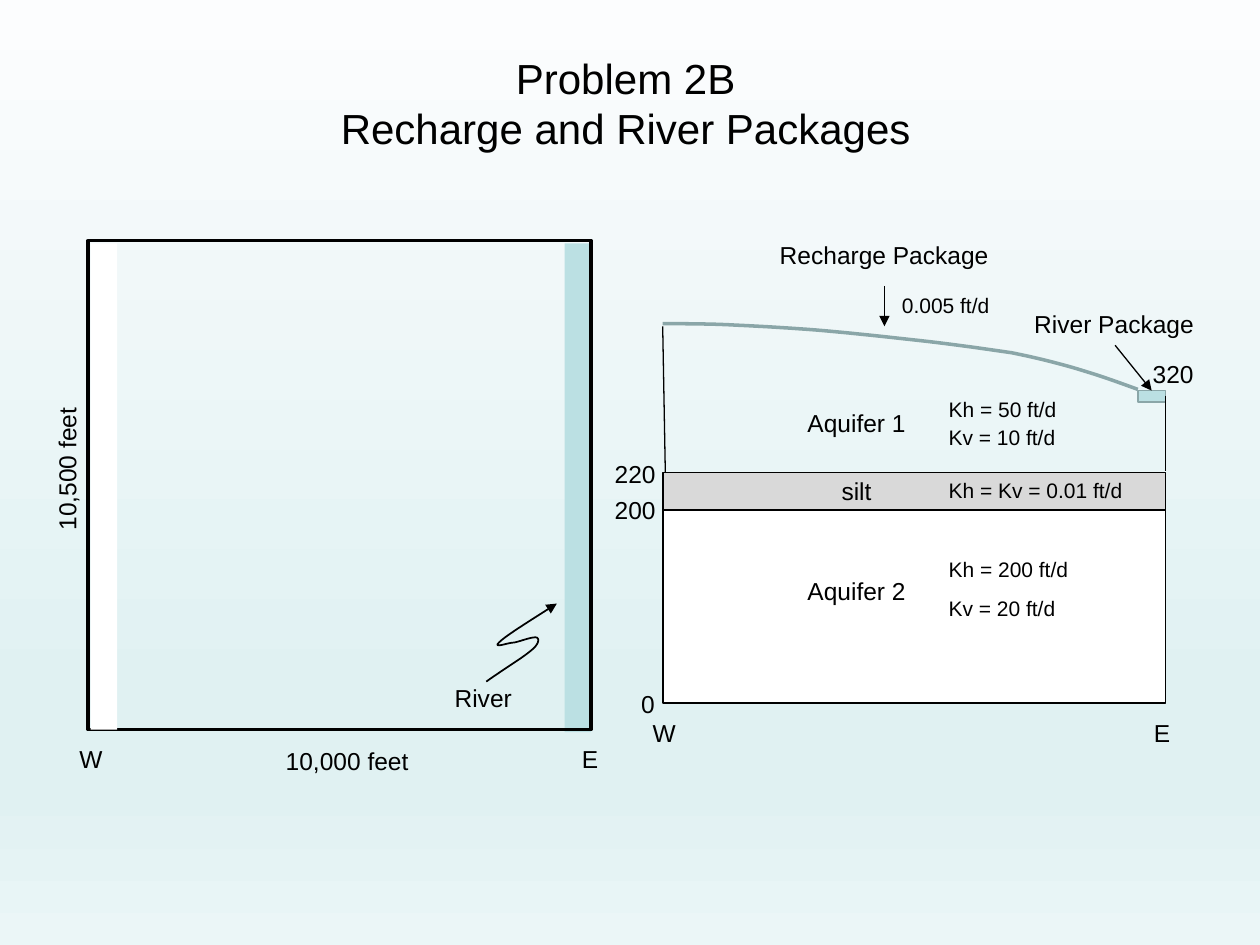
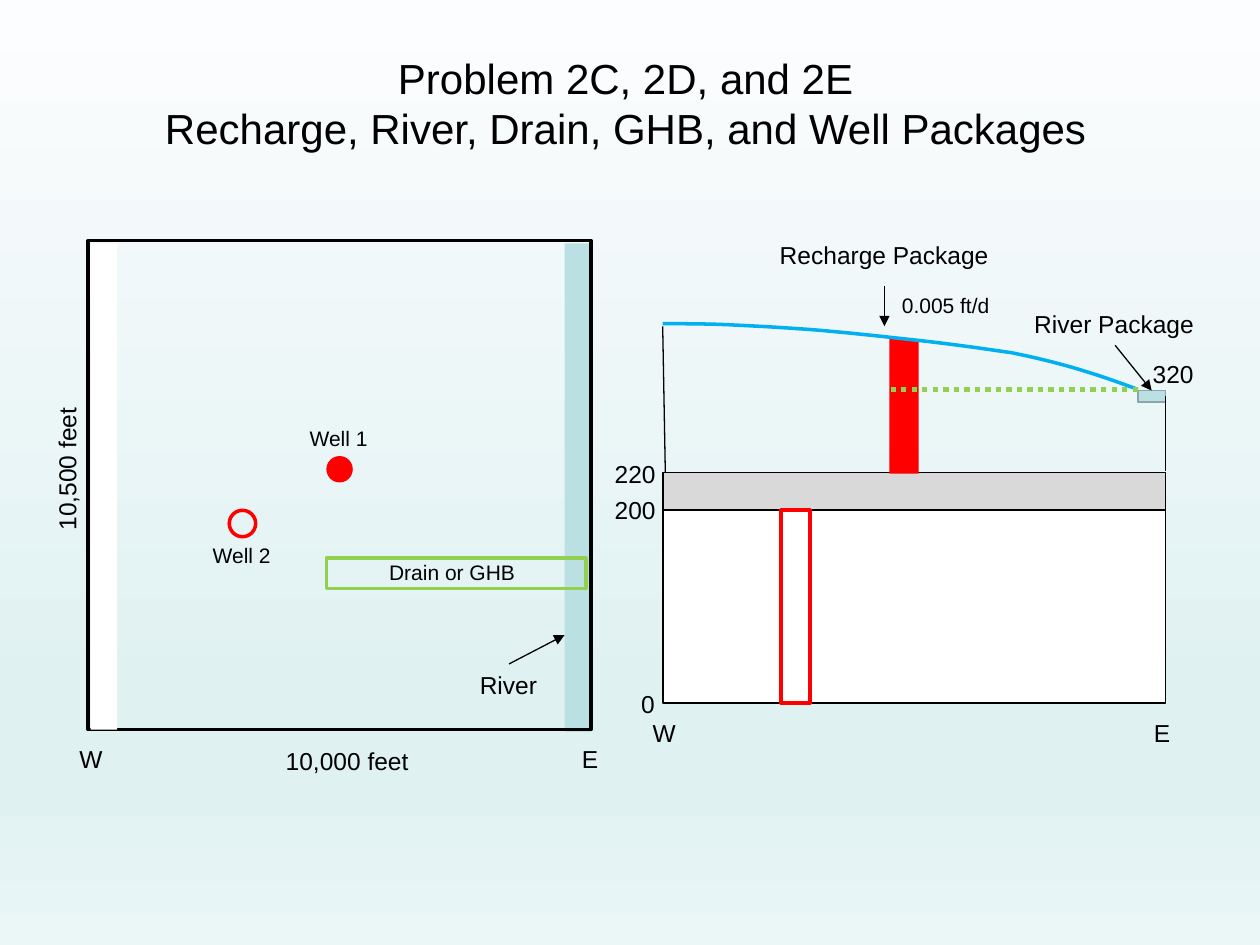
from copy import deepcopy

from pptx import Presentation
from pptx.dml.color import RGBColor
from pptx.enum.dml import MSO_LINE
from pptx.enum.shapes import MSO_CONNECTOR, MSO_SHAPE
from pptx.enum.text import MSO_ANCHOR, MSO_AUTO_SIZE, PP_ALIGN
from pptx.oxml.ns import qn
from pptx.oxml.xmlchemy import OxmlElement
from pptx.util import Pt

BLACK = RGBColor(0x00, 0x00, 0x00)
WHITE = RGBColor(0xFF, 0xFF, 0xFF)
GRAY = RGBColor(0xD9, 0xD9, 0xD9)
WATER = RGBColor(0xBB, 0xE0, 0xE3)
TEAL = RGBColor(0x8A, 0xA6, 0xA8)
BLUE = RGBColor(0x00, 0xB0, 0xF0)
RED = RGBColor(0xFF, 0x00, 0x00)
GREEN = RGBColor(0x92, 0xD0, 0x50)
SKY_TOP = RGBColor(0xFC, 0xFD, 0xFE)
SKY_MID = RGBColor(0xE0, 0xF1, 0xF2)
SKY_LOW = RGBColor(0xEB, 0xF6, 0xF7)
SKY = [(0, SKY_TOP), (0.74, SKY_MID), (0.83, SKY_MID), (1, SKY_LOW)]

MAP_X, MAP_Y, MAP_H = 50.4, 137.5, 279.4
SIDE = 287.3
STRIP = 15.1
SEC_X = 378.7
SILT_Y, AQUIFER_Y, BASE_Y = 270, 291.6, 401.8

WATER_TABLE = [
    (378.7, 185), (392.4, 185), (406.1, 185), (420.5, 185.8),
    (435.6, 186.5), (447.8, 187.2), (466.6, 188.6),
    (484.6, 190.1), (511.2, 193), (529.9, 195.1),
    (548.6, 197.3), (563, 199.4), (578.2, 201.6),
    (592.6, 204.5), (607, 208.1), (618.5, 211.7),
    (630.7, 215.3), (640.1, 218.9), (650.2, 222.5)]
RIVER_POINTER = [
    (277.9, 389.5), (288, 382.3), (298.8, 375.8), (303.8, 371.5),
    (308.2, 367.9), (308.2, 365), (306.7, 364.3),
    (304.6, 363.6), (297.4, 366.5), (293.8, 367.2),
    (290.2, 367.2), (281.5, 370.8), (285.1, 367.2),
    (289.4, 362.9), (303.8, 354.2), (318.2, 344.9)]


def bezier_points(knots, steps=10):
    points = [knots[0]]
    for i in range(0, len(knots) - 1, 3):
        for k in range(1, steps + 1):
            t = k / steps
            weights = ((1 - t) ** 3, 3 * t * (1 - t) ** 2,
                       3 * t * t * (1 - t), t ** 3)
            points.append(tuple(
                sum(w * knot[axis] for w, knot in zip(weights, knots[i:i + 4]))
                for axis in (0, 1)))
    return points


class Deck:
    font = "Arial"

    def __init__(self):
        self.prs = Presentation()
        self.prs.slide_width, self.prs.slide_height = Pt(720), Pt(540)
        self.paint_background()

    def paint_background(self):
        master = self.prs.slide_master
        fill = master.background.fill
        fill.gradient()
        fill.gradient_angle = 270
        stops = master.element.cSld.find(".//" + qn("a:gsLst"))
        while len(stops) < len(SKY):
            stops.append(deepcopy(stops[0]))
        for stop, (position, color) in zip(fill.gradient_stops, SKY):
            stop.position = position
            stop.color.rgb = color

    def new_slide(self, title):
        self.s = self.prs.slides.add_slide(self.prs.slide_layouts[6])
        tf = self.text(title, 34.5, 21.6, 646, 24, 74.2).text_frame
        tf.auto_size = MSO_AUTO_SIZE.NONE
        tf.word_wrap = True
        tf.vertical_anchor = MSO_ANCHOR.MIDDLE
        tf.paragraphs[0].alignment = PP_ALIGN.CENTER

    def text(self, text, x, y, w, size=14, h=None):
        h = h or size * 1.2 + 7.4
        sp = self.s.shapes.add_textbox(Pt(x), Pt(y), Pt(w), Pt(h))
        tf = sp.text_frame
        tf.text = text
        tf.word_wrap = False
        tf.auto_size = MSO_AUTO_SIZE.SHAPE_TO_FIT_TEXT
        for r in tf.paragraphs[0].runs:
            r.font.name = self.font
            r.font.size = Pt(size)
            r.font.color.rgb = BLACK
        return sp

    def texts(self, rows, size=14):
        for row in rows:
            self.text(*row, size)

    def style(self, sp, fill, line, width):
        sp.shadow.inherit = False
        if fill is None:
            sp.fill.background()
        else:
            sp.fill.solid()
            sp.fill.fore_color.rgb = fill
        if line is None:
            sp.line.fill.background()
        else:
            self.stroke(sp, line, width)
        return sp

    def stroke(self, sp, color, width):
        sp.line.color.rgb = color
        sp.line.width = Pt(width)

    def arrowhead(self, sp):
        end = OxmlElement("a:tailEnd")
        end.set("type", "triangle")
        sp.line._get_or_add_ln().append(end)

    def shape(self, x, y, w, h, fill=None, line=None, width=1,
              kind=MSO_SHAPE.RECTANGLE):
        sp = self.s.shapes.add_shape(kind, Pt(x), Pt(y), Pt(w), Pt(h))
        return self.style(sp, fill, line, width)

    def circle(self, x, y, **look):
        self.shape(x, y, STRIP, STRIP, kind=MSO_SHAPE.OVAL, **look)

    def outline(self, points, fill=None, line=None, width=1, close=False):
        points = [(Pt(x), Pt(y)) for x, y in points]
        builder = self.s.shapes.build_freeform(*points[0])
        builder.add_line_segments(points[1:], close=close)
        return self.style(builder.convert_to_shape(), fill, line, width)

    def line(self, x1, y1, x2, y2, color=BLACK, width=0.75, arrow=False,
             dash=None):
        sp = self.s.shapes.add_connector(
            MSO_CONNECTOR.STRAIGHT, Pt(x1), Pt(y1), Pt(x2), Pt(y2))
        self.stroke(sp, color, width)
        if dash is not None:
            sp.line.dash_style = dash
        if arrow:
            self.arrowhead(sp)
        sp.element.spPr.append(OxmlElement("a:effectLst"))

    def plan_view(self):
        self.shape(322.6, 139, STRIP, MAP_H, WATER)
        self.shape(MAP_X, MAP_Y, SIDE, MAP_H, line=BLACK, width=2)
        self.texts([("W", 38.2, 421.9, 28.1), ("E", 325.4, 421.9, 23.8),
                    ("10,000 feet", 156.2, 422.6, 85)])
        self.text("10,500 feet", -4.3, 255.6, 85).rotation = 270
        self.shape(51.8, 139, STRIP, 278, WHITE)

    def cross_section(self):
        self.shape(SEC_X, AQUIFER_Y, SIDE, BASE_Y - AQUIFER_Y, WHITE, BLACK)
        self.shape(SEC_X, SILT_Y, SIDE, AQUIFER_Y - SILT_Y, GRAY, BLACK)
        self.shape(650.2, 223.2, 15.8, 6.5, WATER, TEAL)
        self.texts([("0", 359.3, 390, 22.3), ("200", 344.2, 279.4, 38.2),
                    ("220", 344.2, 258.5, 38.2), ("320", 651.6, 201.6, 38.2),
                    ("W", 365.8, 406.8, 28.1), ("E", 652.3, 406.8, 23.8),
                    ("Recharge Package", 438.5, 133.9, 134.6),
                    ("River Package", 583.9, 172.8, 106.6)])
        self.text("0.005 ft/d", 508.3, 163.4, 64.8, 12)
        self.line(380.2, SILT_Y, SEC_X, 186.5)
        self.line(666, 226.1, 666, 269.3)
        self.line(637.2, 197.3, 658.1, 223.2, arrow=True)
        self.line(505.4, 163.4, 505.4, 186.5, arrow=True)

    def water_table(self, color):
        self.outline(bezier_points(WATER_TABLE), line=color, width=2)


deck = Deck()

deck.new_slide("Problem 2B\vRecharge and River Packages")
deck.plan_view()
deck.text("River", 252.7, 386.6, 47.5)
deck.arrowhead(deck.outline(bezier_points(RIVER_POINTER), line=BLACK))
deck.cross_section()
deck.water_table(TEAL)
deck.texts([("Aquifer 1", 454.3, 229.7, 71.3),
            ("Aquifer 2", 454.3, 325.4, 71.3),
            ("silt", 473.8, 268.6, 31.7)])
deck.texts([("Kh = 50 ft/d", 535, 223.2, 77),
            ("Kv = 10 ft/d", 535, 239, 76.3),
            ("Kh = Kv = 0.01 ft/d", 535, 269.3, 115.2),
            ("Kh = 200 ft/d", 535, 314.6, 83.5),
            ("Kv = 20 ft/d", 535, 337, 76.3)], 12)

deck.new_slide("Problem 2C, 2D, and 2E\v"
               "Recharge, River, Drain, GHB, and Well Packages")
deck.plan_view()
deck.text("River", 267.1, 379.4, 47.5)
deck.line(290.9, 379.4, 322.6, 362.9, arrow=True)
deck.shape(186.5, 319, 148.3, 17.3, line=GREEN, width=2)
deck.circle(186.5, 260.6, fill=RED)
deck.circle(131, 291.6, line=RED, width=2)
deck.texts([("Drain or GHB", 215.3, 316.1, 90.7),
            ("Well 1", 169.9, 239.8, 48.2),
            ("Well 2", 114.5, 306.7, 48.2)], 12)
deck.cross_section()
deck.outline([(508.3, 193), (508.3, 270.7), (524.9, 270.7), (524.9, 195.1)],
             fill=RED, close=True)
deck.water_table(BLUE)
deck.shape(446.4, AQUIFER_Y, 16.6, BASE_Y - AQUIFER_Y, line=RED, width=2)
deck.line(650.2, 222.5, 508.3, 222.5, GREEN, 3, dash=MSO_LINE.ROUND_DOT)

deck.prs.save("out.pptx")
